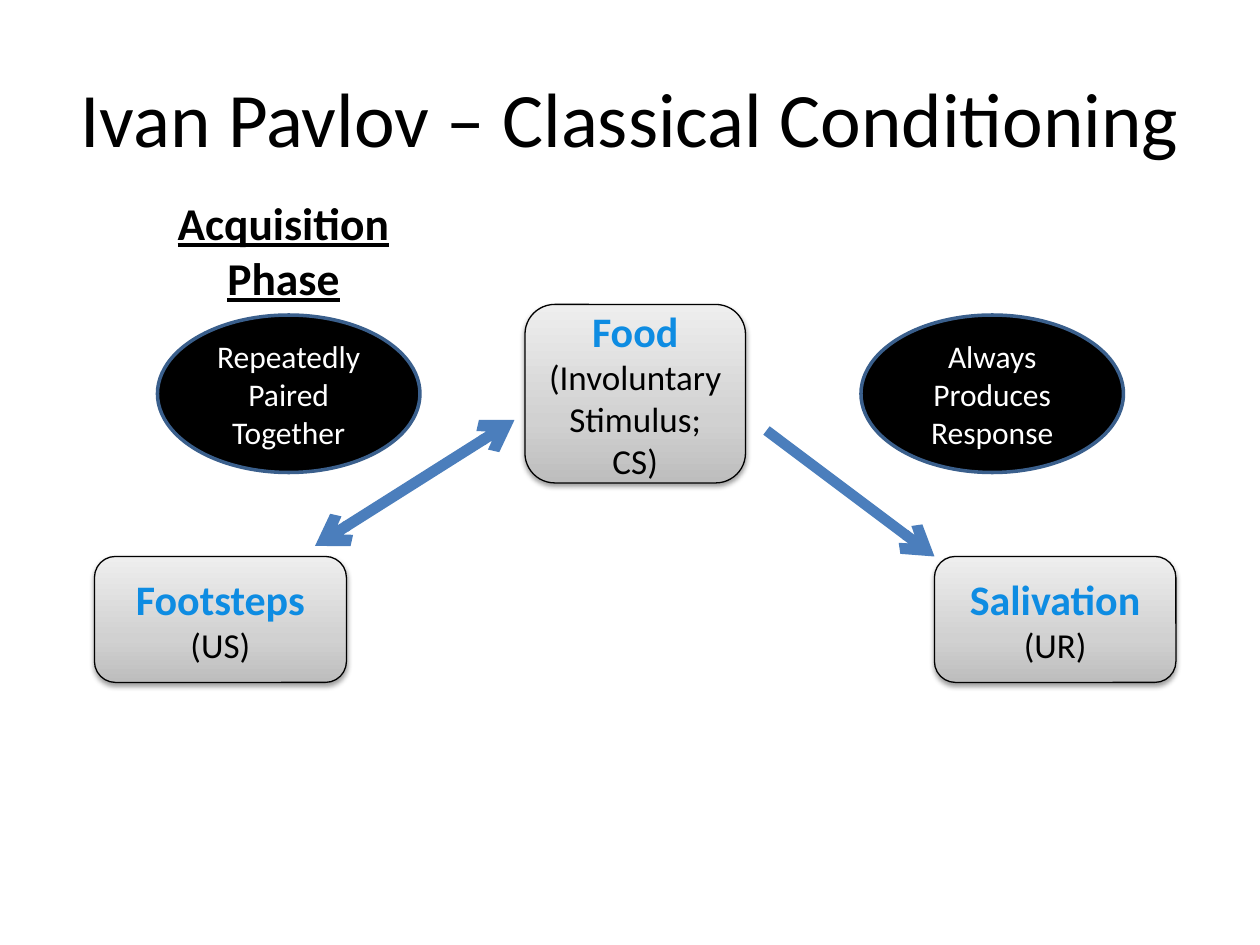
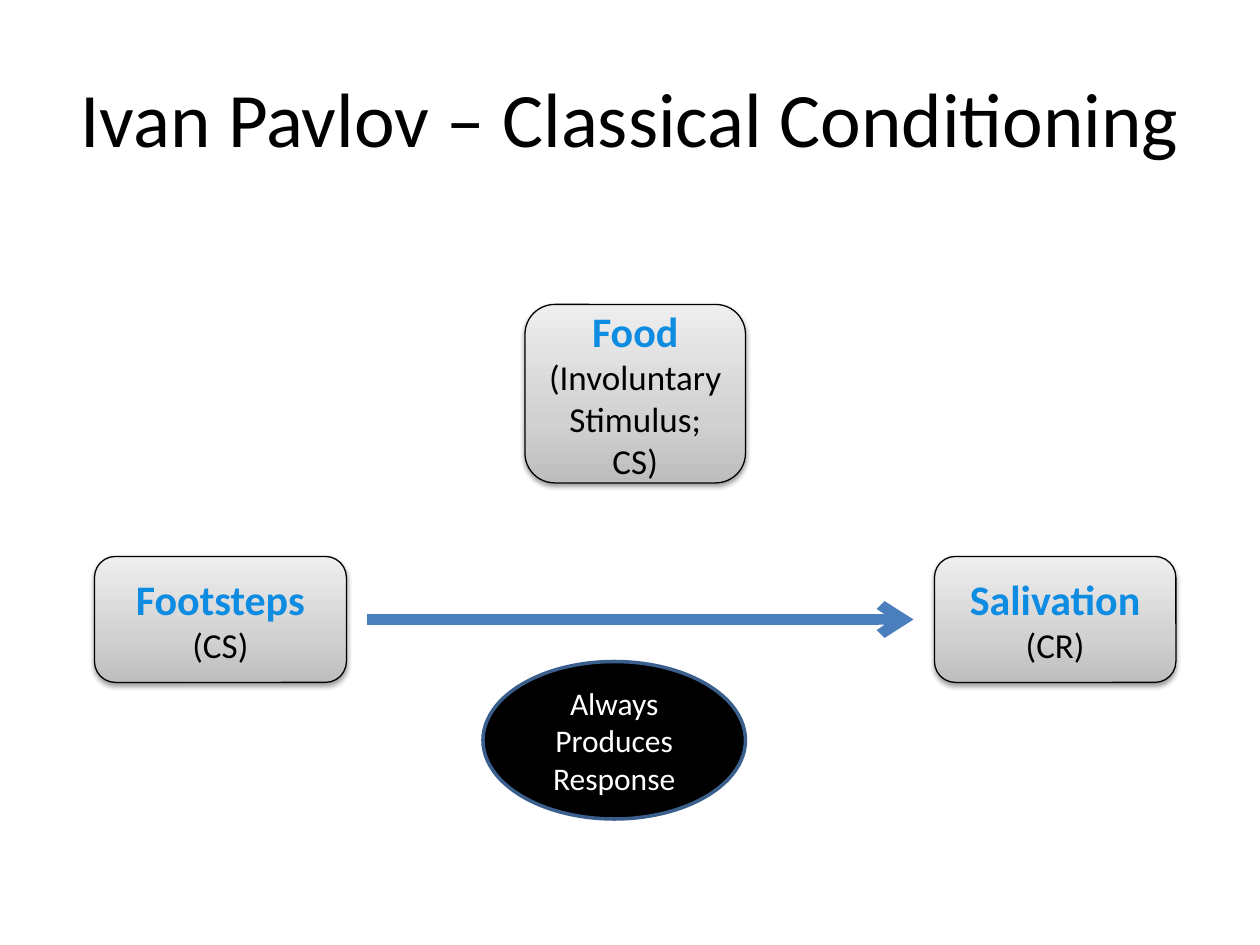
"""Build two slides on classical conditioning."""
from dataclasses import dataclass

from lxml import etree
from pptx import Presentation
from pptx.dml.color import RGBColor
from pptx.enum.shapes import MSO_CONNECTOR, MSO_SHAPE
from pptx.enum.text import MSO_ANCHOR, PP_ALIGN
from pptx.oxml.ns import qn
from pptx.util import Inches, Pt

ROUNDED = MSO_SHAPE.ROUNDED_RECTANGLE
OVAL = MSO_SHAPE.OVAL
STRAIGHT = MSO_CONNECTOR.STRAIGHT
CENTER = PP_ALIGN.CENTER
TOP, MIDDLE = MSO_ANCHOR.TOP, MSO_ANCHOR.MIDDLE

WIDTH, HEIGHT = Inches(10), Inches(7.5)
COLUMNS, ROWS = 120, 90
FONT = "Calibri"
BLACK, WHITE = "000000", "FFFFFF"
TERM_BLUE, ARROW_BLUE, OVAL_EDGE = "0E8CE2", "4B7EBC", "3A5F8C"
CARD_GRADIENT = ((0, "BDBDBD"), (35, "D1D1D1"), (100, "EEEEEE"))
TITLE = "Ivan Pavlov – Classical Conditioning"


@dataclass(frozen=True)
class Area:
    """A rectangle in grid columns and rows."""
    column: float
    row: float
    columns: float
    rows: float

    def lengths(self) -> tuple[int, int, int, int]:
        """Return left, top, width and height."""
        return (across(self.column), down(self.row),
                across(self.columns), down(self.rows))


@dataclass(frozen=True)
class Style:
    """The look of a run of text."""
    size: float
    color: str
    bold: bool = False
    underline: bool = False


@dataclass(frozen=True)
class Card:
    """A stimulus or response with its role."""
    area: Area
    term: str
    role: tuple[str, ...]


@dataclass(frozen=True)
class Bubble:
    """A dark oval that explains an arrow."""
    column: float
    row: float
    text: str


@dataclass(frozen=True)
class Arrow:
    """A line between two grid points."""
    start: tuple[float, float]
    end: tuple[float, float]
    width: float = 6
    both_ends: bool = False


TITLE_STYLE = Style(44, BLACK)
PHASE_STYLE = Style(26, BLACK, bold=True, underline=True)
TERM_STYLE = Style(24, TERM_BLUE, bold=True)
ROLE_STYLE = Style(20, BLACK)
BUBBLE_STYLE = Style(18, WHITE)

TITLE_AREA = Area(6, 3.6, 108, 15)
PHASE_AREA = Area(14, 18, 26, 11.8)
FOOD_AREA = Area(50, 29, 21, 17)
FOOTSTEPS_AREA = Area(9, 53, 24, 12)
SALIVATION_AREA = Area(89, 53, 23, 12)
BUBBLE_COLUMNS, BUBBLE_ROWS = 25, 15


def across(columns: float) -> int:
    """Convert grid columns to a length."""
    return round(WIDTH * columns / COLUMNS)


def down(rows: float) -> int:
    """Convert grid rows to a length."""
    return round(HEIGHT * rows / ROWS)


def rgb(color: str) -> RGBColor:
    """Turn a hex string into a colour."""
    return RGBColor.from_string(color)


def add_color(parent, color: str):
    """Add a colour element to an XML parent."""
    return etree.SubElement(parent, qn("a:srgbClr"), val=color)


def write(frame, lines: list[tuple[str, Style]], anchor=MIDDLE) -> None:
    """Write centred paragraphs into a text frame."""
    frame.word_wrap = True
    frame.vertical_anchor = anchor
    for index, (text, style) in enumerate(lines):
        para = frame.add_paragraph() if index else frame.paragraphs[0]
        para.alignment = CENTER
        span = para.add_run()
        span.text = text
        span.font.name = FONT
        span.font.size = Pt(style.size)
        span.font.bold = style.bold
        span.font.underline = style.underline
        span.font.color.rgb = rgb(style.color)


def add_label(page, area: Area, text: str, style: Style, anchor=MIDDLE) -> None:
    """Add a text box with one paragraph."""
    box = page.shapes.add_textbox(*area.lengths())
    write(box.text_frame, [(text, style)], anchor)


def add_outlined(page, kind, area: Area, color: str, width: float):
    """Add a shape with an outline and no shadow."""
    shape = page.shapes.add_shape(kind, *area.lengths())
    shape.shadow.inherit = False
    shape.line.color.rgb = rgb(color)
    shape.line.width = Pt(width)
    return shape


def shade(shape) -> None:
    """Give a shape the card gradient and a soft shadow."""
    shape.fill.gradient()
    shape.fill.gradient_angle = 90
    properties = shape._element.spPr
    stops = properties.find(qn("a:gradFill")).find(qn("a:gsLst"))
    for stop in list(stops):
        stops.remove(stop)
    for percent, color in CARD_GRADIENT:
        stop = etree.SubElement(stops, qn("a:gs"), pos=str(percent * 1000))
        add_color(stop, color)
    shadow = etree.SubElement(
        properties.find(qn("a:effectLst")), qn("a:outerShdw"),
        blurRad=str(Pt(3.1)), dist=str(Pt(1.6)), dir="5400000", rotWithShape="0")
    etree.SubElement(add_color(shadow, BLACK), qn("a:alpha"), val="38000")


def add_card(page, card: Card) -> None:
    """Add a shaded card with a term and its role."""
    shape = add_outlined(page, ROUNDED, card.area, BLACK, 0.75)
    shade(shape)
    roles = [(line, ROLE_STYLE) for line in card.role]
    write(shape.text_frame, [(card.term, TERM_STYLE), *roles])


def add_bubble(page, bubble: Bubble) -> None:
    """Add a black oval with white text."""
    area = Area(bubble.column, bubble.row, BUBBLE_COLUMNS, BUBBLE_ROWS)
    shape = add_outlined(page, OVAL, area, OVAL_EDGE, 2)
    shape.fill.solid()
    shape.fill.fore_color.rgb = rgb(BLACK)
    write(shape.text_frame, [(bubble.text, BUBBLE_STYLE)])


def add_arrow(page, arrow: Arrow) -> None:
    """Add a thick line with open arrowheads."""
    (left, top), (right, bottom) = arrow.start, arrow.end
    connector = page.shapes.add_connector(
        STRAIGHT, across(left), down(top), across(right), down(bottom))
    connector.line.color.rgb = rgb(ARROW_BLUE)
    connector.line.width = Pt(arrow.width)
    line = connector.line._get_or_add_ln()
    for end in ("headEnd", "tailEnd") if arrow.both_ends else ("tailEnd",):
        etree.SubElement(line, qn(f"a:{end}"), type="arrow")
    etree.SubElement(connector._element.spPr, qn("a:effectLst"))


def add_page(deck, footsteps_role: str, salivation_role: str,
             arrows: list[Arrow], bubbles: list[Bubble]):
    """Add a slide with the title, three cards, arrows and bubbles."""
    page = deck.slides.add_slide(deck.slide_layouts[6])
    add_label(page, TITLE_AREA, TITLE, TITLE_STYLE)
    for card in (
        Card(SALIVATION_AREA, "Salivation", (salivation_role,)),
        Card(FOOTSTEPS_AREA, "Footsteps", (footsteps_role,)),
        Card(FOOD_AREA, "Food", ("(Involuntary Stimulus;", "CS)")),
    ):
        add_card(page, card)
    for arrow in arrows:
        add_arrow(page, arrow)
    for bubble in bubbles:
        add_bubble(page, bubble)
    return page


def main() -> None:
    """Build and save the deck."""
    deck = Presentation()
    deck.slide_width, deck.slide_height = WIDTH, HEIGHT
    response = "Always Produces Response"
    acquisition = add_page(
        deck, "(US)", "(UR)",
        [Arrow((73, 41), (89, 53)),
         Arrow((30, 52), (49, 40), width=6.25, both_ends=True)],
        [Bubble(82, 30, response), Bubble(15, 30, "Repeatedly Paired Together")])
    add_label(acquisition, PHASE_AREA, "Acquisition Phase", PHASE_STYLE, TOP)
    add_page(deck, "(CS)", "(CR)",
             [Arrow((35, 59), (87, 59))], [Bubble(46, 63, response)])
    deck.save("out.pptx")


if __name__ == "__main__":
    main()
